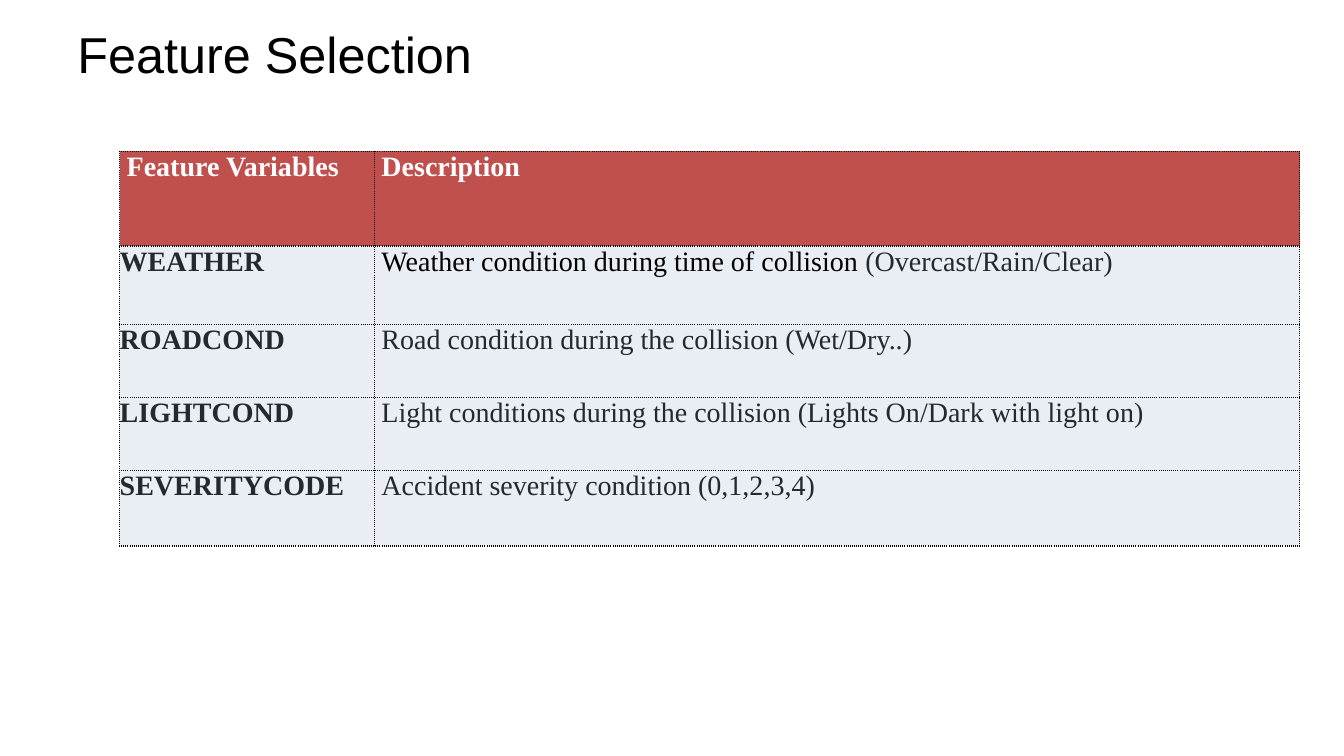
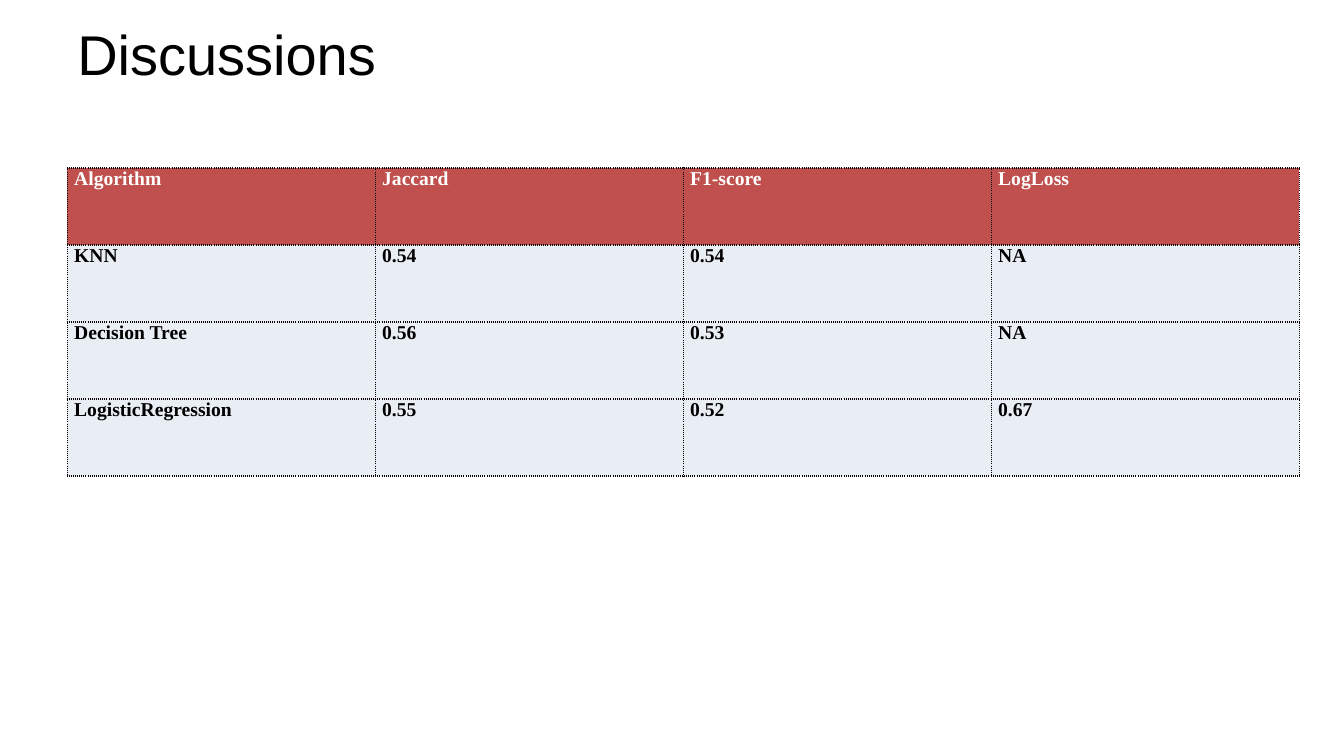
"""Build two slides, each a title above a dotted-border table."""
import dataclasses

import lxml.etree
import pptx
import pptx.dml.color
import pptx.enum.text
import pptx.oxml.ns
import pptx.util

Pt = pptx.util.Pt
RGB = pptx.dml.color.RGBColor.from_string


@dataclasses.dataclass(frozen=True)
class Theme:
    black: str = "000000"
    white: str = "FFFFFF"
    ink: str = "23292D"
    edge: str = "080000"
    head: str = "C0504D"
    band: str = "E9EDF4"
    title: str = "Arial"
    body: str = "Times New Roman"
    line: float = 1
    thick: float = 1.5


THEME = Theme()
SLIDE = (960, 540)
TITLE = (48, 15, 864, 46)

DECK = [
    {
        "title": "Feature Selection", "size": 36,
        "at": (85.5, 108), "cols": [182, 661], "rows": [68, 56, 52, 52, 54],
        "text": 20, "ink": THEME.ink, "bold": [True, False],
        "head inset": [5, 5], "inset": [0, 5], "right": 0, "rule": THEME.thick,
        "cells": [
            ["Feature Variables", "Description"],
            ["WEATHER", [("Weather condition during time of collision ", THEME.black),
                         ("(Overcast/Rain/Clear)", THEME.ink)]],
            ["ROADCOND", "Road condition during the collision (Wet/Dry..)"],
            ["LIGHTCOND", "Light conditions during the collision (Lights On/Dark with light on)"],
            ["SEVERITYCODE", "Accident severity condition (0,1,2,3,4)"],
        ],
    },
    {
        "title": "Discussions", "size": 40,
        "at": (48, 120), "cols": [220] * 4, "rows": [55] * 4,
        "text": 14, "ink": THEME.black, "bold": [True] * 4,
        "head inset": [5] * 4, "inset": [5] * 4, "right": 5, "rule": THEME.line,
        "cells": [
            ["Algorithm", "Jaccard", "F1-score", "LogLoss"],
            ["KNN", "0.54", "0.54", "NA"],
            ["Decision Tree", "0.56", "0.53", "NA"],
            ["LogisticRegression", "0.55", "0.52", "0.67"],
        ],
    },
]


def style(font, name, size, color, bold):
    font.name, font.size, font.bold = name, Pt(size), bold
    font.color.rgb = RGB(color)


def border(cell, top, base):
    qn = pptx.oxml.ns.qn
    props = cell._tc.get_or_add_tcPr()
    sides = [("L", THEME.line), ("R", THEME.line), ("T", top), ("B", base)]
    for spot, (side, width) in enumerate(sides):
        line = lxml.etree.Element(qn("a:ln" + side), w=str(Pt(width)))
        fill = lxml.etree.SubElement(line, qn("a:solidFill"))
        lxml.etree.SubElement(fill, qn("a:srgbClr"), val=THEME.edge)
        lxml.etree.SubElement(line, qn("a:prstDash"), val="sysDot")
        props.insert(spot, line)


def set_title(slide, page):
    title = slide.shapes.title
    title.left, title.top, title.width, title.height = map(Pt, TITLE)
    frame = title.text_frame
    frame.text = page["title"]
    frame.vertical_anchor = pptx.enum.text.MSO_ANCHOR.MIDDLE
    para = frame.paragraphs[0]
    para.alignment = pptx.enum.text.PP_ALIGN.LEFT
    style(para.font, THEME.title, page["size"], THEME.black, False)


def fill_cell(cell, text, page, row, col):
    head = row == 0
    cell.fill.solid()
    cell.fill.fore_color.rgb = RGB(THEME.head if head else THEME.band)
    border(cell, page["rule"] if row == 1 else THEME.line,
           page["rule"] if head else THEME.line)
    cell.margin_left = Pt(page["head inset" if head else "inset"][col])
    cell.margin_right = Pt(page["right"])
    cell.margin_top = cell.margin_bottom = 0
    para = cell.text_frame.paragraphs[0]
    style(para.font, THEME.body, page["text"],
          THEME.white if head else page["ink"], head or page["bold"][col])
    if isinstance(text, str):
        para.add_run().text = text
    else:
        for words, color in text:
            run = para.add_run()
            run.text = words
            run.font.color.rgb = RGB(color)


def add_grid(slide, page):
    cols, rows = page["cols"], page["rows"]
    box = map(Pt, (*page["at"], sum(cols), sum(rows)))
    table = slide.shapes.add_table(len(rows), len(cols), *box).table
    table.first_row = table.horz_banding = False
    for col, width in zip(table.columns, cols):
        col.width = Pt(width)
    for row, height in zip(table.rows, rows):
        row.height = Pt(height)
    for row, line in enumerate(page["cells"]):
        for col, text in enumerate(line):
            fill_cell(table.cell(row, col), text, page, row, col)


def main():
    deck = pptx.Presentation()
    deck.slide_width, deck.slide_height = map(Pt, SLIDE)
    for page in DECK:
        slide = deck.slides.add_slide(deck.slide_layouts[5])
        set_title(slide, page)
        add_grid(slide, page)
    deck.save("out.pptx")


if __name__ == "__main__":
    main()
